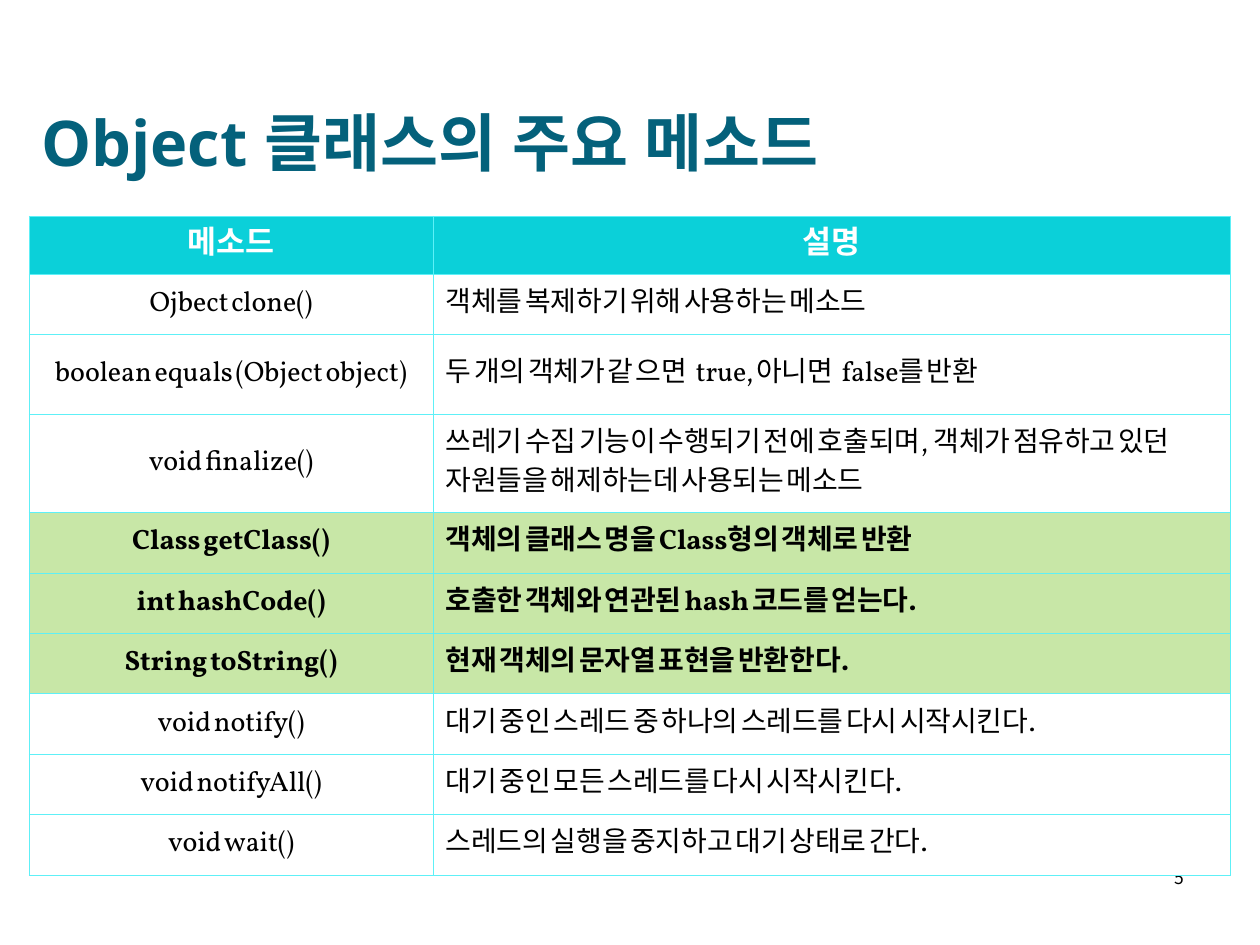
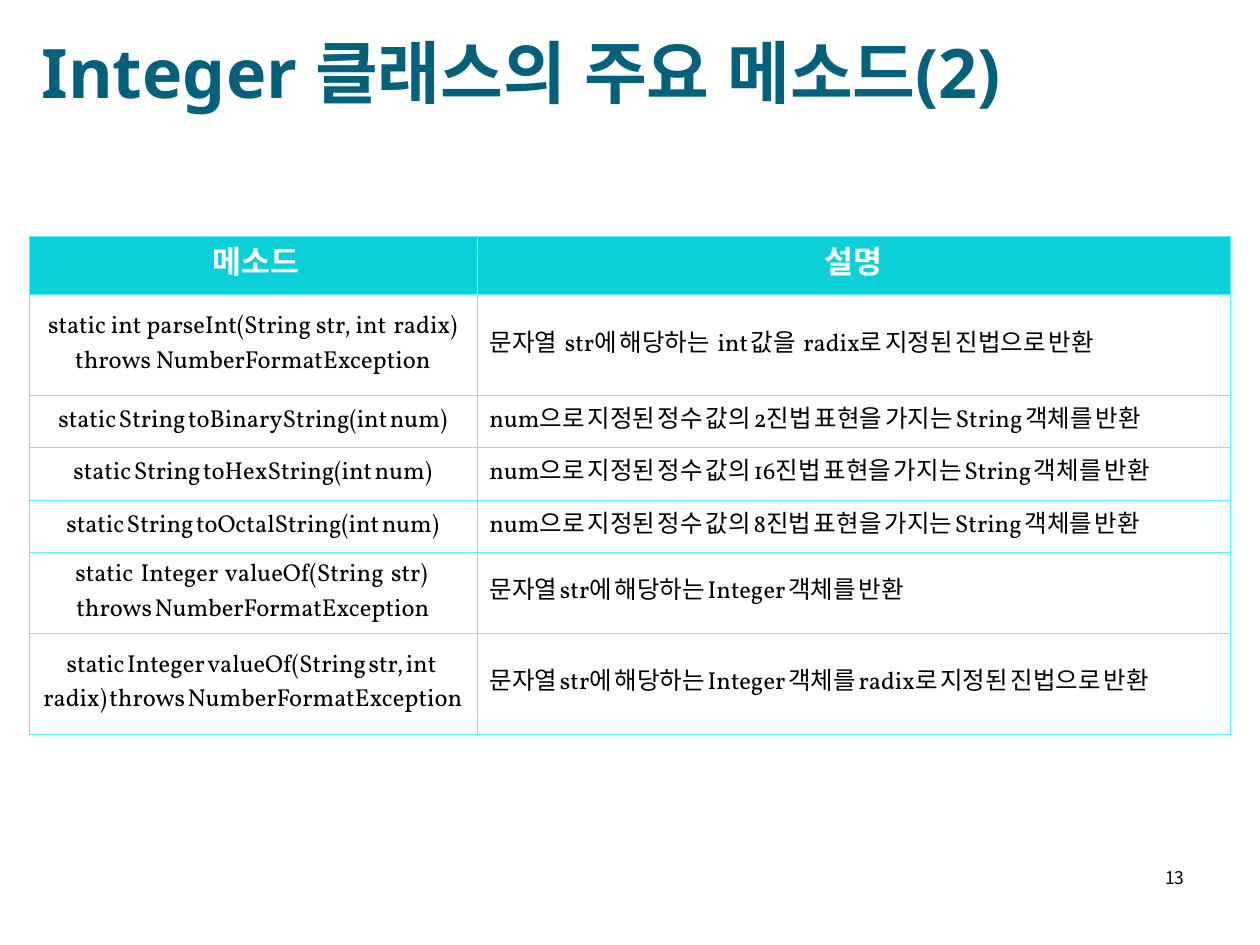
from lxml.etree import SubElement
from pptx import Presentation
from pptx.dml.color import RGBColor
from pptx.enum.text import MSO_ANCHOR, PP_ALIGN
from pptx.oxml.ns import qn
from pptx.util import Pt

TEAL, AQUA, EDGE, LIME = "04617B", "0BD0D9", "5EF0F7", "92D050"
BLACK, WHITE = "000000", "FFFFFF"
LEFT, WIDE = 16.7, 686.4
THIN, HARD = chr(8201), "~"
INSET = {"margin_left": Pt(7.2), "margin_right": Pt(7.2),
         "margin_top": Pt(3.6), "margin_bottom": Pt(3.6)}

BASE = [
    ("메소드", "설명"),
    ("Ojbect clone()", "객체를 복제하기 위해 사용하는 메소드"),
    ("boolean equals (Object object)",
     "두 개의 객체가 같 으면  true, 아니면  false를 반환"),
    ("void finalize()",
     "쓰레기 수집 기능이 수행되기 전에 호출되며,~객체가 점유하고 있던 자원들을 해제하는데 사용되는 메소드"),
    ("Class getClass()", "객체의 클래스 명을 Class형의 객체로 반환"),
    ("int hashCode()", "호출한 객체와 연관된 hash 코드를 얻는다."),
    ("String toString()", "현재 객체의 문자열 표현을 반환한다."),
    ("void notify()", "대기 중인 스레드 중 하나의 스레드를 다시 시작시킨다."),
    ("void notifyAll()", "대기 중인 모든 스레드를 다시 시작시킨다."),
    ("void wait()", "스레드의 실행을 중지하고 대기 상태로 간다."),
]
WHOLE = [
    ("~메소드", "설명"),
    ("static~int~parseInt(String~str,~int  radix)~throws~NumberFormatException",
     "문자열  str에 해당하는  int 값을  radix로 지정된 진법으로 반환"),
    ("static String toBinaryString(int num)",
     "num으로 지정된 정수 값의 2진법 표현을 가지는 String 객체를 반환"),
    ("static String toHexString(int num)",
     "num으로 지정된 정수 값의 16진법 표현을 가지는 String 객체를 반환"),
    ("static String toOctalString(int num)",
     "num으로 지정된 정수 값의 8진법 표현을 가지는 String 객체를 반환"),
    ("static  Integer  valueOf(String  str)  throws NumberFormatException",
     "문자열 str에 해당하는 Integer 객체를 반환"),
    ("static Integer valueOf(String str, int radix) throws NumberFormatException",
     "문자열 str에 해당하는 Integer 객체를 radix로 지정된 진법으로 반환"),
]


def tint(code):
    """Turn a hex string into a colour."""
    return RGBColor.from_string(code)


def slim(text):
    """Make word gaps thin, pairs thin plus plain, and hard marks plain."""
    text = text.replace(" ", THIN).replace(THIN * 2, THIN + " ")
    return text.replace(HARD, " ")


def write(frame, text, hue, align=PP_ALIGN.LEFT, **form):
    """Put one formatted run into a text frame."""
    para = frame.paragraphs[0]
    para.alignment = align
    run = para.add_run()
    run.text = text
    for key, value in form.items():
        setattr(run.font, key, value)
    run.font.color.rgb = tint(hue)
    SubElement(run._r.get_or_add_rPr(), qn("a:ea"), typeface=form["name"])


def label(slide, box, text, hue, align, anchor, **form):
    """Add a wrapped text box."""
    frame = slide.shapes.add_textbox(*map(Pt, box)).text_frame
    for key, value in {"word_wrap": True, "vertical_anchor": anchor, **INSET}.items():
        setattr(frame, key, value)
    write(frame, text, hue, align, **form)


def title(slide, box, text, size):
    """Add the slide title, resting on the bottom of its box."""
    label(slide, box, text, TEAL, PP_ALIGN.LEFT, MSO_ANCHOR.BOTTOM,
          name="Noto Sans", size=Pt(size), bold=True)


def footer(slide, box, page):
    """Add the page number."""
    label(slide, box, str(page), BLACK, PP_ALIGN.RIGHT, MSO_ANCHOR.TOP,
          name="Noto Sans CJK KR", size=Pt(10))


def edge(cell):
    """Draw thin lines on all four sides of a cell."""
    props = cell._tc.get_or_add_tcPr()
    for spot, side in enumerate(("lnL", "lnR", "lnT", "lnB")):
        line = props.makeelement(qn(f"a:{side}"), {"w": str(Pt(0.45))})
        fill = SubElement(line, qn("a:solidFill"))
        SubElement(fill, qn("a:srgbClr"), val=EDGE)
        props.insert(spot, line)


def paint(cell, hue, alpha=100):
    """Fill a cell, or leave it clear when there is no colour."""
    if hue is None:
        cell.fill.background()
        return
    cell.fill.solid()
    cell.fill.fore_color.rgb = tint(hue)
    if alpha < 100:
        color = cell._tc.tcPr.find(f"{qn('a:solidFill')}/{qn('a:srgbClr')}")
        SubElement(color, qn("a:alpha"), val=str(alpha * 1000))


def grid(slide, box, first, highs, rows, size, marks):
    """Add a method table with a header row and marked rows."""
    left, top, wide = box
    shape = slide.shapes.add_table(len(highs), 2, *map(Pt, (left, top, wide, sum(highs))))
    table = shape.table
    for key in ("first_row", "horz_banding"):
        setattr(table, key, False)
    for col, width in zip(table.columns, (first, wide - first)):
        col.width = Pt(width)
    for row, high in zip(table.rows, highs):
        row.height = Pt(high)
    for i, texts in enumerate(rows):
        head, bold = i == 0, i == 0 or i in marks
        for j, text in enumerate(texts):
            cell = table.cell(i, j)
            for key, value in {"vertical_anchor": MSO_ANCHOR.MIDDLE, **INSET}.items():
                setattr(cell, key, value)
            if head:
                paint(cell, AQUA)
            elif i in marks:
                paint(cell, LIME, 50)
            else:
                paint(cell, WHITE if j else None)
            edge(cell)
            write(cell.text_frame, slim(text), WHITE if head else BLACK,
                  PP_ALIGN.CENTER if head or j == 0 else PP_ALIGN.LEFT,
                  name="Vollkorn", size=Pt(18 if head else size), bold=bold)


def page(deck, name, scale, drop, num, top, *body):
    """Build one slide: title, page number and method table."""
    slide = deck.slides.add_slide(deck.slide_layouts[6])
    title(slide, (LEFT, 15, 676, drop), name, scale)
    footer(slide, (516, 492, 168, 36), num)
    grid(slide, (LEFT, top, WIDE), *body)


def main():
    """Build and save both slides."""
    deck = Presentation()
    deck.slide_width, deck.slide_height = Pt(720), Pt(540)
    page(deck, "Object 클래스의 주요 메소드", 36, 91, 5, 123.6,
         230.8, [33.1, 34.5, 45.8, 56] + [34.5] * 6, BASE, 16, (4, 5, 6))
    page(deck, "Integer 클래스의 주요 메소드(2)", 39, 52.6, 13, 135.2,
         255.8, [33.1, 57.6] + [29.9] * 3 + [46.3, 57.6], WHOLE, 14, ())
    deck.save("out.pptx")


if __name__ == "__main__":
    main()
